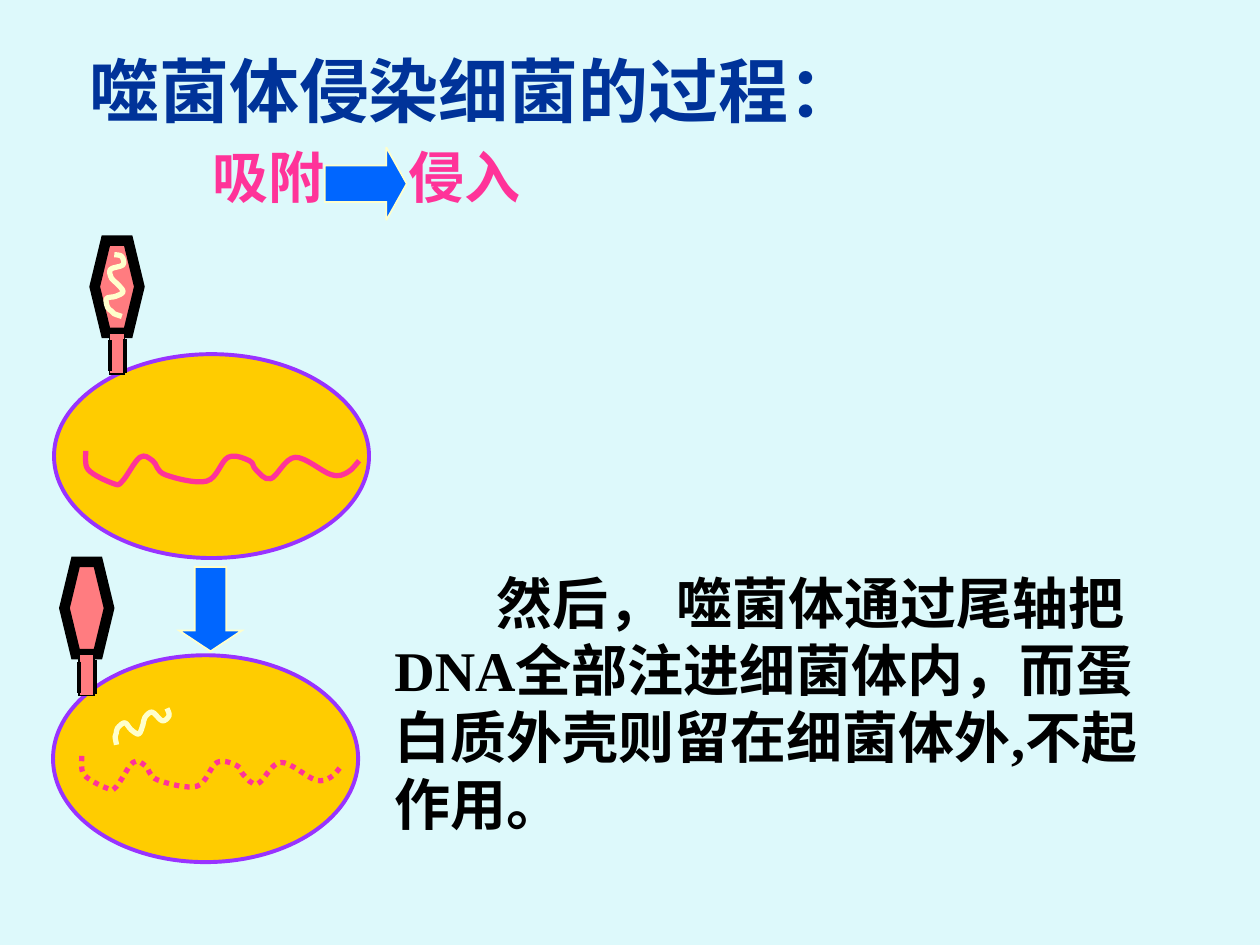
from lxml import etree
from pptx import Presentation
from pptx import util as u
from pptx.dml.color import RGBColor
from pptx.enum import dml, shapes, text
from pptx.oxml.ns import qn

SKY = RGBColor(0xDD, 0xF9, 0xFB)
NAVY = RGBColor(0x00, 0x33, 0x99)
PINK = RGBColor(0xFF, 0x33, 0x99)
BLACK = RGBColor(0x00, 0x00, 0x00)
BLUE = RGBColor(0x00, 0x66, 0xFF)
CREAM = RGBColor(0xFF, 0xFF, 0xCC)
GOLD = RGBColor(0xFF, 0xCC, 0x00)
PURPLE = RGBColor(0x99, 0x33, 0xFF)
SALMON = RGBColor(0xFF, 0x7C, 0x80)

# Outlines in centimetres from their own top left corner
PHAGE_DNA = [(0, 0.2), (0.03, 0.05), (0.2, 0.02), (0.3, 0.27), (0.48, 0.24),
             (0.58, 0.13), (0.74, 0), (0.84, 0.15), (0.89, 0.33), (1.07, 0.3),
             (1.14, 0.22), (1.19, 0.17), (1.24, 0.01)]
BACTERIAL_DNA = [(0, 0), (0.05, 0.38), (0.56, 0.66), (0.74, 0.61), (1.09, 0.13),
                 (1.35, 0.2), (1.6, 0.48), (2.44, 0.61), (2.87, 0.13), (3.3, 0.2),
                 (3.43, 0.38), (3.73, 0.56), (4.22, 0.13), (4.95, 0.48),
                 (5.28, 0.43), (5.51, 0.2)]


def curve_segments(shape):
    """Turn the straight segments of a freeform into curves through its points."""
    points = [(int(pt.get("x")), int(pt.get("y")))
              for pt in shape.element.iter(qn("a:pt"))]
    padded = [points[0], *points, points[-1]]
    for i, line in enumerate(list(shape.element.iter(qn("a:lnTo")))):
        before, start, end, after = padded[i:i + 4]
        first = [s + (e - b) // 6 for b, s, e in zip(before, start, end)]
        second = [e - (a - s) // 6 for s, e, a in zip(start, end, after)]
        curve = etree.Element(qn("a:cubicBezTo"))
        for x, y in (first, second, end):
            etree.SubElement(curve, qn("a:pt"), x=str(x), y=str(y))
        line.getparent().replace(line, curve)


class Sketch:
    font = "Times New Roman"

    def __init__(self, page):
        self.page = page

    def label(self, words, left, top, width, height, size, color, wrap=False, indent=0):
        box = self.page.shapes.add_textbox(*map(u.Cm, (left, top, width, height)))
        frame = box.text_frame
        frame.text = words
        frame.word_wrap = wrap
        frame.auto_size = text.MSO_AUTO_SIZE.SHAPE_TO_FIT_TEXT
        para = frame.paragraphs[0]
        if indent:
            para._p.get_or_add_pPr().set("indent", str(u.Cm(indent)))
        font = para.runs[0].font
        font.name, font.size, font.bold = self.font, u.Pt(size), True
        font.color.rgb = color

    def solid(self, kind, left, top, width, height, fill, line, weight, adjust=None):
        shape = self.page.shapes.add_shape(kind, *map(u.Cm, (left, top, width, height)))
        shape.shadow.inherit = False
        if adjust:
            shape.adjustments[1] = adjust
        shape.fill.solid()
        shape.fill.fore_color.rgb = fill
        shape.line.color.rgb = line
        shape.line.width = u.Pt(weight)
        outline = shape.element.spPr.find(qn("a:ln"))
        etree.SubElement(outline, qn("a:miter"), lim="800000")

    def bacterium(self, left, top, width, height):
        self.solid(shapes.MSO_SHAPE.OVAL, left, top, width, height, GOLD, PURPLE, 2.25)

    def arrow(self, kind, left, top, width, height, head):
        self.solid(kind, left, top, width, height, BLUE, CREAM, 1, head)

    def upright(self, x, top, bottom):
        line = self.page.shapes.add_connector(
            shapes.MSO_CONNECTOR.STRAIGHT, *map(u.Cm, (x, top, x, bottom)))
        line.line.color.rgb = BLACK
        line.line.width = u.Pt(2.25)
        etree.SubElement(line.element.spPr, qn("a:effectLst"))

    def phage(self, left, top):
        """Draw the head and the tail of an empty phage."""
        self.solid(shapes.MSO_SHAPE.HEXAGON, left, top, 0.9, 1.86, SALMON, BLACK, 6)
        self.solid(shapes.MSO_SHAPE.RECTANGLE, left + 0.3, top + 1.86, 0.3, 0.83,
                   SALMON, BLACK, 1)
        self.upright(left + 0.3, top + 2.01, top + 2.63)
        self.upright(left + 0.61, top + 1.98, top + 2.67)

    def strand(self, points, left, top, color, stretch=1, turn=0, fill=None, dash=None):
        spots = [(u.Cm(left + x * stretch), u.Cm(top + y)) for x, y in points]
        builder = self.page.shapes.build_freeform(*spots[0])
        builder.add_line_segments(spots[1:], close=False)
        shape = builder.convert_to_shape()
        curve_segments(shape)
        shape.shadow.inherit = False
        shape.rotation = turn
        if fill is None:
            shape.fill.background()
        else:
            shape.fill.solid()
            shape.fill.fore_color.rgb = fill
        shape.line.color.rgb = color
        shape.line.width = u.Pt(3)
        if dash is not None:
            shape.line.dash_style = dash


def main():
    deck = Presentation()
    deck.slide_width, deck.slide_height = u.Cm(25.4), u.Cm(19.05)
    page = deck.slides.add_slide(deck.slide_layouts[6])
    page.background.fill.solid()
    page.background.fill.fore_color.rgb = SKY
    sketch = Sketch(page)

    # Injection: the phage DNA is inside the bacterium
    sketch.bacterium(1.07, 13.21, 6.15, 4.17)
    sketch.phage(1.3, 11.33)
    sketch.strand(PHAGE_DNA, 2.21, 14.43, CREAM, turn=152.9)
    sketch.strand(BACTERIAL_DNA, 1.65, 15.24, PINK, stretch=0.95,
                  dash=dml.MSO_LINE.ROUND_DOT)

    sketch.label("噬菌体侵染细菌的过程：", 1.55, 0.84, 16, 1.96, 40, NAVY)
    for step, left in (("吸附", 4.04), ("侵入", 7.98)):
        sketch.label(step, left, 2.74, 2.77, 1.63, 32, PINK)
    sketch.arrow(shapes.MSO_SHAPE.RIGHT_ARROW, 6.55, 2.97, 1.65, 1.47, 0.28)
    sketch.arrow(shapes.MSO_SHAPE.DOWN_ARROW, 3.61, 11.43, 1.27, 1.7, 0.33)
    sketch.label("然后， 噬菌体通过尾轴把DNA全部注进细菌体内，而蛋白质外壳则留在细菌体外,不起作用。",
                 7.7, 11.33, 16.08, 5.69, 32, BLACK, wrap=True, indent=2.05)

    # Attachment: the phage DNA is still in its head
    sketch.bacterium(1.09, 7.14, 6.35, 4.11)
    sketch.phage(1.91, 4.85)
    sketch.strand(PHAGE_DNA, 1.7, 5.59, CREAM, turn=91.8, fill=SALMON)
    sketch.strand(BACTERIAL_DNA, 1.73, 9.09, PINK)

    deck.save("out.pptx")


if __name__ == "__main__":
    main()
